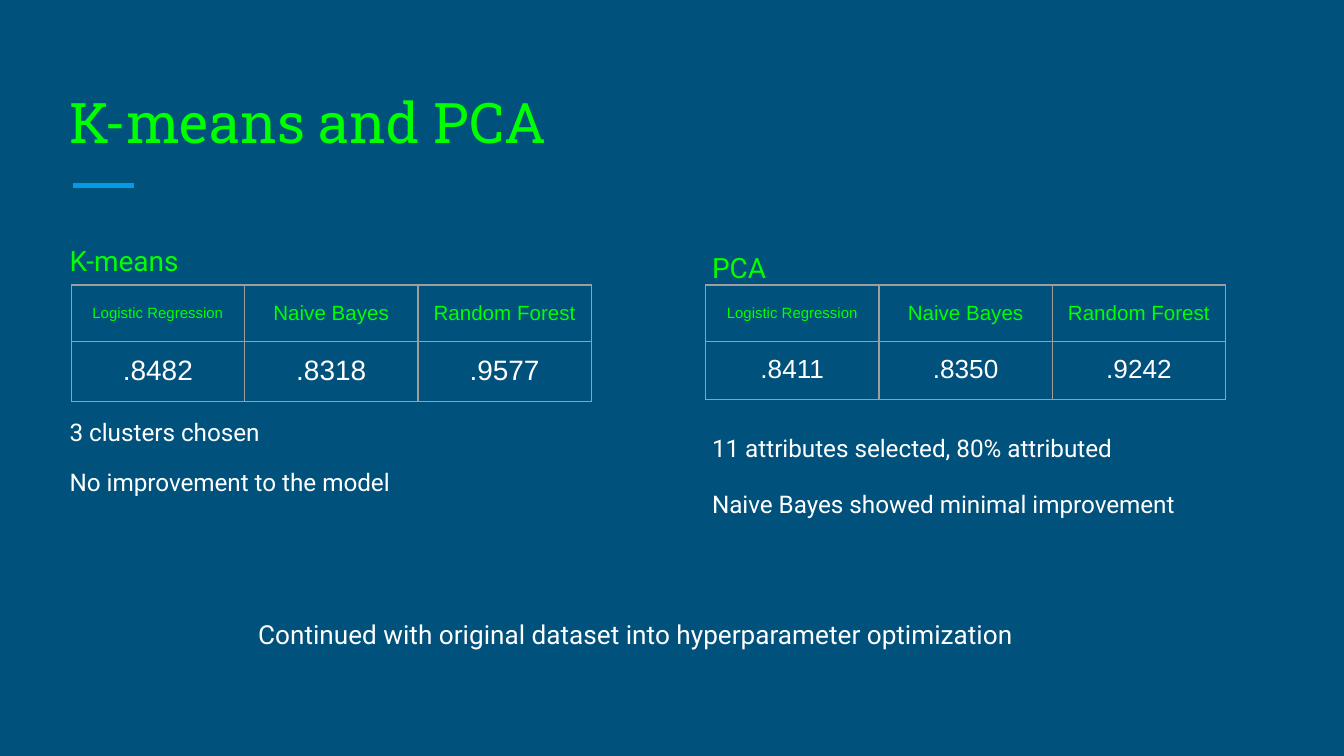
from pptx import Presentation
from pptx.dml.color import RGBColor
from pptx.enum.shapes import MSO_CONNECTOR as Connector
from pptx.enum.text import MSO_ANCHOR as Anchor, PP_ALIGN as Align
from pptx.oxml.ns import qn
from pptx.util import Inches, Pt
from lxml.etree import SubElement

NAVY, GREEN, WHITE, BLUE, GREY = "00517C", "00FF00", "FFFFFF", "039BE5", "9E9E9E"
TITLE = "K-means and PCA"
MODELS = [("Logistic Regression", 8), ("Naive Bayes", 11), ("Random Forest", 11)]
METHODS = [
    dict(name="K-means", text_left=0.42, table_left=0.53, line=0.95, gap=76,
         scores=[".8482", ".8318", ".9577"], score_size=15,
         notes=["3 clusters chosen", "No improvement to the model"]),
    dict(name="PCA", text_left=5.2, table_left=5.25, line=1.15, gap=77.5,
         scores=[".8411", ".8350", ".9242"], score_size=14,
         notes=["11 attributes selected, 80% attributed",
                "Naive Bayes showed minimal improvement"]),
]
CONCLUSION = "Continued with original dataset into hyperparameter optimization"
TABLE_TOP, COLUMN_WIDTH, ROW_HEIGHT = 2.12, 1.29, 0.42


def color(value):
    return RGBColor.from_string(value)


def set_margins(target):
    target.margin_left = target.margin_right = Inches(0.1)
    target.margin_top = target.margin_bottom = Inches(0.1)


def write(para, text, size, hue, font="Roboto", align=Align.LEFT):
    para.text = text
    para.alignment = align
    para.font.name = font
    para.font.size = Pt(size)
    para.font.color.rgb = color(hue)


def add_box(page, left, top, width, height, anchor=Anchor.TOP):
    box = page.shapes.add_textbox(Inches(left), Inches(top), Inches(width), Inches(height))
    frame = box.text_frame
    frame.word_wrap = True
    frame.vertical_anchor = anchor
    set_margins(frame)
    return frame


def add_borders(cell):
    properties = cell._tc.get_or_add_tcPr()
    for index, side in enumerate(("lnL", "lnR", "lnT", "lnB")):
        line = properties.makeelement(qn(f"a:{side}"), {"w": str(Pt(0.75))})
        fill = SubElement(line, qn("a:solidFill"))
        SubElement(fill, qn("a:srgbClr"), val=GREY)
        properties.insert(index, line)


def add_scores(page, method):
    rows = [
        [(name, size, GREEN) for name, size in MODELS],
        [(score, method["score_size"], WHITE) for score in method["scores"]],
    ]
    table = page.shapes.add_table(
        len(rows), len(MODELS), Inches(method["table_left"]), Inches(TABLE_TOP),
        Inches(COLUMN_WIDTH * len(MODELS)), Inches(ROW_HEIGHT * len(rows))).table
    table.first_row = table.horz_banding = False
    for column in table.columns:
        column.width = Inches(COLUMN_WIDTH)
    for r, row in enumerate(rows):
        table.rows[r].height = Inches(ROW_HEIGHT)
        for c, (text, size, hue) in enumerate(row):
            cell = table.cell(r, c)
            cell.fill.background()
            set_margins(cell)
            cell.vertical_anchor = Anchor.TOP if r else Anchor.MIDDLE
            write(cell.text_frame.paragraphs[0], text, size, hue, "Arial", Align.CENTER)
            add_borders(cell)


def add_method(page, method):
    frame = add_box(page, method["text_left"], 1.73, 4.37, 2.66)
    heading = frame.paragraphs[0]
    write(heading, method["name"], 15, GREEN)
    heading.line_spacing = method["line"]
    for index, note in enumerate(method["notes"]):
        para = frame.add_paragraph()
        write(para, note, 13, WHITE)
        para.line_spacing = method["line"]
        para.space_before = Pt(12 if index else method["gap"])
    add_scores(page, method)


def main():
    deck = Presentation()
    deck.slide_width = Inches(10)
    deck.slide_height = deck.slide_width * 9 // 16
    page = deck.slides.add_slide(deck.slide_layouts[6])
    page.background.fill.solid()
    page.background.fill.fore_color.rgb = color(NAVY)

    rule = page.shapes.add_connector(
        Connector.STRAIGHT, Inches(0.54), Inches(1.38), Inches(1), Inches(1.38))
    rule.line.color.rgb = color(BLUE)
    rule.line.width = Pt(3)
    SubElement(rule._element.spPr, qn("a:effectLst"))

    title = add_box(page, 0.42, 0.5, 9.15, 0.75, Anchor.BOTTOM)
    write(title.paragraphs[0], TITLE, 30, GREEN, "Roboto Slab")
    for method in METHODS:
        add_method(page, method)
    conclusion = add_box(page, 1.54, 4.5, 6.38, 0.44)
    write(conclusion.paragraphs[0], CONCLUSION, 14, WHITE, align=Align.CENTER)
    deck.save("out.pptx")


if __name__ == "__main__":
    main()
